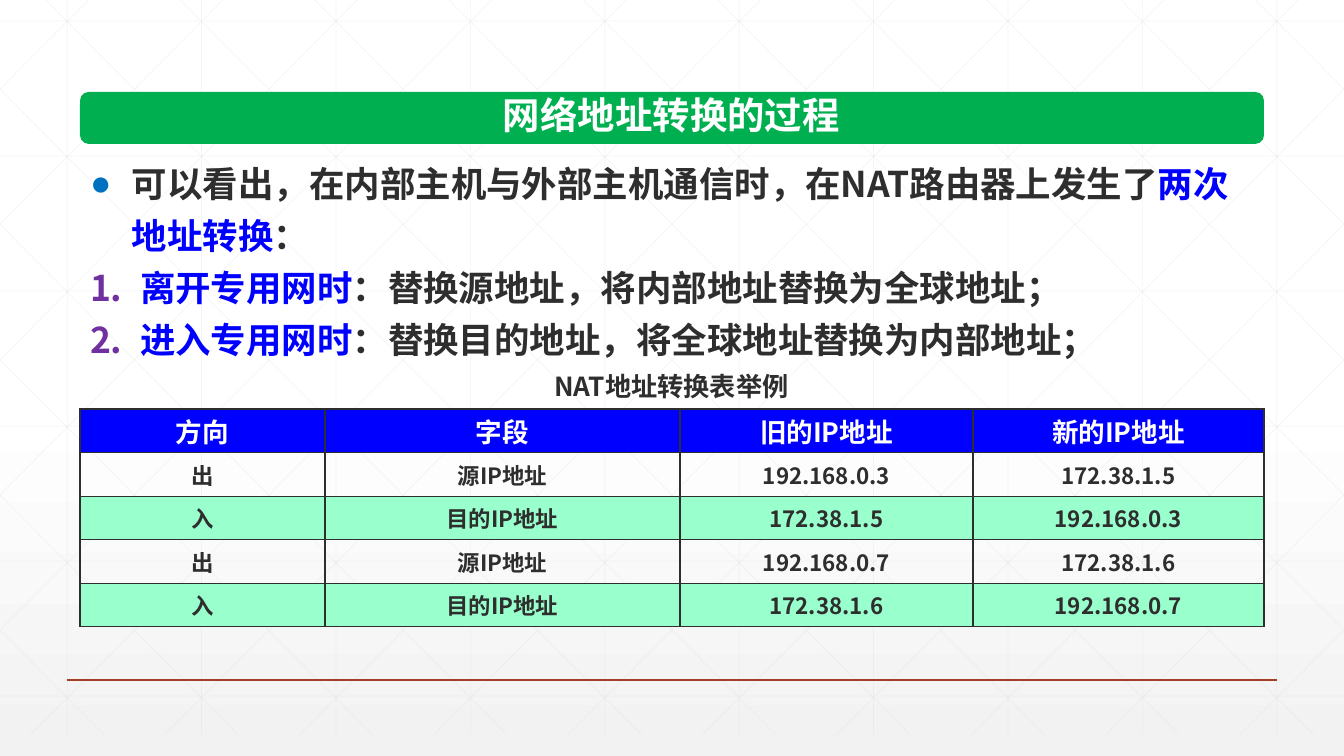
from dataclasses import dataclass
from pptx import Presentation
from pptx.dml.color import RGBColor
from pptx.enum.shapes import MSO_CONNECTOR as Connector, MSO_SHAPE as Preset
from pptx.enum.text import MSO_ANCHOR as Anchor, MSO_AUTO_SIZE as AutoSize, PP_ALIGN as Align
from pptx.oxml import parse_xml
from pptx.oxml.ns import nsdecls
from pptx.util import Pt

WIDTH, HEIGHT = 1344, 756
SCALE = 12192000 / WIDTH


@dataclass(frozen=True)
class Theme:
    font: str = "Noto Sans CJK SC"
    ink: str = "2D2E2D"
    white: str = "FFFFFF"
    blue: str = "0000FF"
    green: str = "00B050"
    mint: str = "99FFCC"
    grid: str = "D9D9D9"
    rule: str = "A43F27"
    fade: str = "F2F2F2"
    bullet: str = "0070C0"
    number: str = "7030A0"
    title_size: float = 26.7
    body_size: float = 25.3
    body_leading: float = 37.3
    caption_size: float = 18.7
    head_size: float = 19
    cell_size: float = 16


THEME = Theme()

POINTS = [
    ("bullet", [("可以看出，在内部主机与外部主机通信时，在NAT路由器上发生了", THEME.ink),
                ("两次地址转换", THEME.blue), ("：", THEME.ink)]),
    ("number", [("离开专用网时", THEME.blue),
                ("：替换源地址，将内部地址替换为全球地址；", THEME.ink)]),
    ("number", [("进入专用网时", THEME.blue),
                ("：替换目的地址，将全球地址替换为内部地址；", THEME.ink)]),
]
MARKERS = {
    "bullet": (42, THEME.bullet, ['<a:buChar {} char="●"/>']),
    "number": (50, THEME.number, [f'<a:buFont {{}} typeface="{THEME.font}"/>',
                                  '<a:buAutoNum {} type="arabicPeriod"/>']),
}
NAT_ROWS = [
    ("方向", "字段", "旧的IP地址", "新的IP地址"),
    ("出", "源IP地址", "192.168.0.3", "172.38.1.5"),
    ("入", "目的IP地址", "172.38.1.5", "192.168.0.3"),
    ("出", "源IP地址", "192.168.0.7", "172.38.1.6"),
    ("入", "目的IP地址", "172.38.1.6", "192.168.0.7"),
]
NAT_COLUMNS = (245, 355, 293, 291)


def px(length):
    return round(length * SCALE)


def rgb(colour):
    return RGBColor.from_string(colour)


def xml(markup):
    return parse_xml(markup.format(nsdecls("a")))


def apply(target, **values):
    for name, value in values.items():
        setattr(target, name, value)


def place(shape, box):
    apply(shape, **dict(zip(("left", "top", "width", "height"), map(px, box))))


def frame_text(frame, wrap=True, anchor=Anchor.MIDDLE, side=0, top=0):
    apply(frame, word_wrap=wrap, vertical_anchor=anchor, auto_size=AutoSize.NONE,
          margin_left=px(side), margin_right=px(side), margin_top=px(top), margin_bottom=0)


def write(paragraph, text, size, colour):
    run = paragraph.add_run()
    run.text = text
    apply(run.font, size=Pt(size), bold=True, name=THEME.font)
    run.font.color.rgb = rgb(colour)
    run.font.element.append(xml(f'<a:ea {{}} typeface="{THEME.font}"/>')) if hasattr(
        run.font, "element") else run._r.get_or_add_rPr().append(
        xml(f'<a:ea {{}} typeface="{THEME.font}"/>'))


def write_centred(frame, text, size, colour):
    paragraph = frame.paragraphs[0]
    paragraph.alignment = Align.CENTER
    write(paragraph, text, size, colour)


def draw_line(shapes, ends, colour, width):
    line = shapes.add_connector(Connector.STRAIGHT, *map(px, ends))
    line.line.color.rgb = rgb(colour)
    line.line.width = Pt(width)
    line.element.spPr.append(xml("<a:effectLst {}/>"))
    return line


def paint_background(slide):
    stops = "".join(f'<a:gs pos="{pos}"><a:srgbClr val="{colour}"/></a:gs>' for pos, colour in
                    ((0, THEME.white), (53000, THEME.white), (100000, THEME.fade)))
    slide.element.cSld.insert(0, parse_xml(
        f'<p:bg {nsdecls("p", "a")}><p:bgPr><a:gradFill><a:gsLst>{stops}</a:gsLst>'
        '<a:lin ang="5400000" scaled="0"/></a:gradFill><a:effectLst/></p:bgPr></p:bg>'))


def draw_grid(slide, box):
    left, top, width, height = box
    right, bottom, step = left + width, top + height, width / 10
    lines = [(x, top, x, bottom) for x in (left + step * (k + 0.5) for k in range(10))]
    lines += [(left, y, right, y) for y in (top + 42 + 135 * k for k in range(6))]
    for k in range(-5, 10):
        start = left + 25 + step * k
        x1, x2 = max(start, left), min(start + 751, right)
        y1, y2 = (top + (x - start) * height / 751 for x in (x1, x2))
        lines += [(x1, y1, x2, y2), (left + right - x1, y1, left + right - x2, y2)]
    group = slide.shapes.add_group_shape()
    for ends in lines:
        line = draw_line(group.shapes, ends, THEME.grid, 0.5)
        for colour in line.element.iter("{*}srgbClr"):
            colour.append(xml('<a:alpha {} val="25000"/>'))


def fill_body(slide, box):
    body = slide.placeholders[1]
    place(body, box)
    slide.shapes.element.append(body.element)
    frame_text(body.text_frame, anchor=Anchor.TOP, side=10, top=9)
    for index, (kind, parts) in enumerate(POINTS):
        paragraph = body.text_frame.add_paragraph() if index else body.text_frame.paragraphs[0]
        apply(paragraph, line_spacing=Pt(THEME.body_leading), space_before=Pt(0),
              space_after=Pt(0), alignment=Align.LEFT)
        indent, colour, marks = MARKERS[kind]
        props = paragraph._p.get_or_add_pPr()
        props.set("marL", str(px(indent)))
        props.set("indent", str(-px(indent)))
        for mark in [f'<a:buClr {{}}><a:srgbClr val="{colour}"/></a:buClr>', *marks]:
            props.append(xml(mark))
        for text, ink in parts:
            write(paragraph, text, THEME.body_size, ink)


def draw_title(slide, box):
    left, top, width, height = box
    bar = slide.shapes.add_shape(Preset.ROUNDED_RECTANGLE, *map(px, box))
    bar.shadow.inherit = False
    bar.adjustments[0] = 0.167
    bar.fill.solid()
    bar.fill.fore_color.rgb = rgb(THEME.green)
    bar.line.fill.background()
    title = slide.shapes.title
    place(title, (left + 205, top - 5, width - 411, height + 3))
    slide.shapes.element.append(title.element)
    frame_text(title.text_frame)
    write_centred(title.text_frame, "网络地址转换的过程", THEME.title_size, THEME.white)


def format_cell(cell, text, size, colour, fill):
    apply(cell, vertical_anchor=Anchor.MIDDLE, margin_left=px(10), margin_right=px(10),
          margin_top=0, margin_bottom=0)
    write_centred(cell.text_frame, text, size, colour)
    props = cell._tc.get_or_add_tcPr()
    for side in "LRTB":
        props.append(xml(f'<a:ln{side} {{}} w="12700"><a:solidFill><a:srgbClr '
                         f'val="{THEME.ink}"/></a:solidFill></a:ln{side}>'))
    if fill:
        cell.fill.solid()
        cell.fill.fore_color.rgb = rgb(fill)
    else:
        cell.fill.background()


def draw_nat_table(slide, box):
    left, top, width, height = box
    caption = slide.shapes.add_textbox(*map(px, (left + 461, top - 44, 261, 42)))
    frame_text(caption.text_frame, wrap=False)
    write_centred(caption.text_frame, "NAT地址转换表举例", THEME.caption_size, THEME.ink)
    table = slide.shapes.add_table(len(NAT_ROWS), len(NAT_COLUMNS), *map(px, box)).table
    for column, column_width in zip(table.columns, NAT_COLUMNS):
        column.width = px(column_width)
    for r, texts in enumerate(NAT_ROWS):
        table.rows[r].height = px(height / len(NAT_ROWS))
        if r == 0:
            look = THEME.head_size, THEME.white, THEME.blue
        else:
            look = THEME.cell_size, THEME.ink, None if r % 2 else THEME.mint
        for c, text in enumerate(texts):
            format_cell(table.cell(r, c), text, *look)


def main():
    deck = Presentation()
    apply(deck, slide_width=px(WIDTH), slide_height=px(HEIGHT))
    slide = deck.slides.add_slide(deck.slide_layouts[1])
    paint_background(slide)
    draw_grid(slide, (0, -21, WIDTH, HEIGHT))
    draw_line(slide.shapes, (67, 680, 1277, 680), THEME.rule, 1)
    fill_body(slide, (80, 143, 1184, 215))
    draw_title(slide, (80, 92, 1184, 52))
    draw_nat_table(slide, (80, 409, 1184, 218))
    deck.save("out.pptx")


if __name__ == "__main__":
    main()
